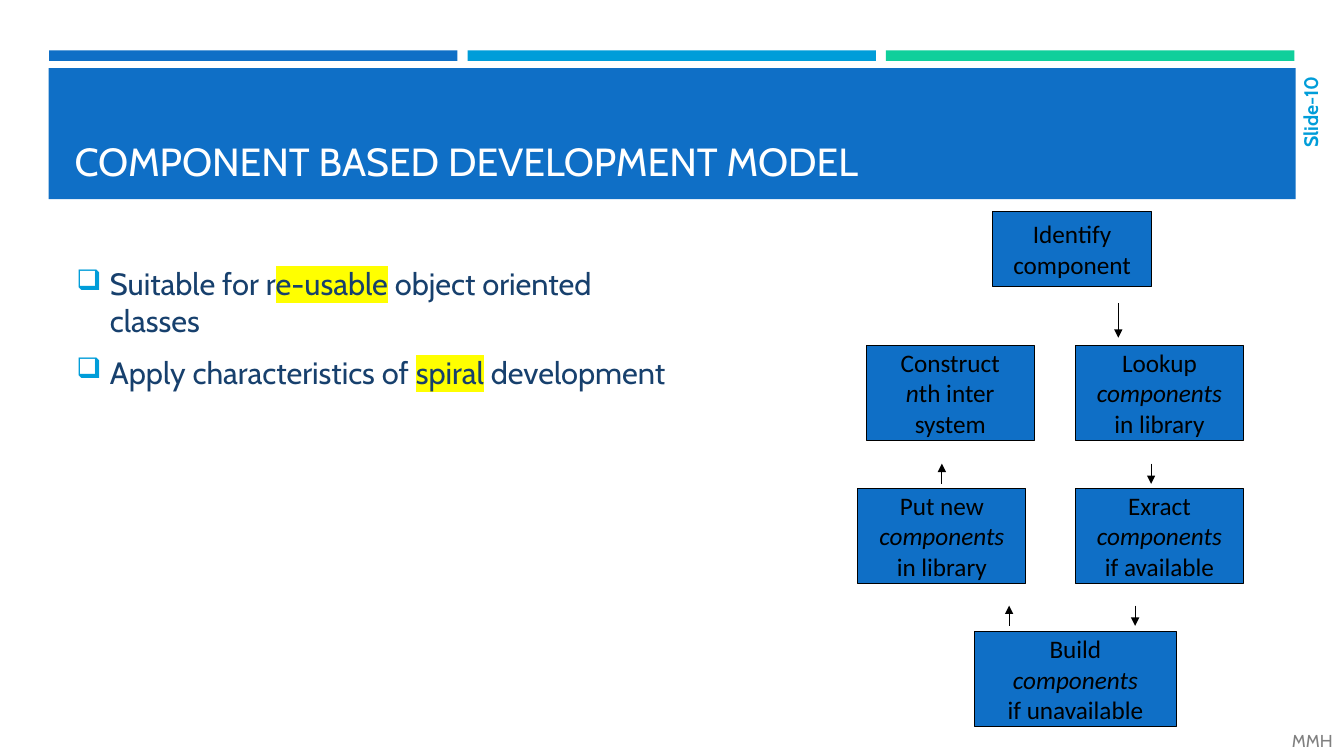
from lxml.etree import SubElement
from pptx import Presentation
from pptx.dml.color import RGBColor
from pptx.enum.shapes import MSO_CONNECTOR, MSO_SHAPE
from pptx.enum.text import MSO_ANCHOR, PP_ALIGN
from pptx.oxml.ns import qn
from pptx.util import Inches, Pt

# Page and grid: 160 columns by 90 rows
deck = Presentation()
deck.slide_width, deck.slide_height = Inches(13.33), Inches(7.5)
page = deck.slides.add_slide(deck.slide_layouts[6])
CELL = deck.slide_height / 90

BLUE, SKY, GREEN, NAVY = "0F6FC6", "009DD9", "10CF9B", "17406D"
BLACK, WHITE, GREY, YELLOW = "000000", "FFFFFF", "808080", "FFFF00"


def add_box(left, top, width, height, fill=None, line=None):
    """Add a rectangle placed in grid cells, or a text box when it has no fill."""
    place = [round(length * CELL) for length in (left, top, width, height)]
    if fill is None:
        box = page.shapes.add_textbox(*place)
    else:
        box = page.shapes.add_shape(MSO_SHAPE.RECTANGLE, *place)
        box.shadow.inherit = False
        box.fill.solid()
        box.fill.fore_color.rgb = RGBColor.from_string(fill)
        if line:
            box.line.color.rgb = RGBColor.from_string(line)
            box.line.width = Pt(0.75)
        else:
            box.line.fill.background()
    box.text_frame.word_wrap = line is None
    return box


def write(box, lines, size, name, color, anchor=MSO_ANCHOR.MIDDLE,
          align=PP_ALIGN.LEFT, bold=False, highlight=None):
    """Write one paragraph per line; text between asterisks is highlighted or italic."""
    frame = box.text_frame
    frame.vertical_anchor = anchor
    for index, line in enumerate(lines):
        para = frame.paragraphs[0] if index == 0 else frame.add_paragraph()
        para.alignment = align
        for part, words in enumerate(line.split("*")):
            if not words:
                continue
            marked = part % 2 == 1
            span = para.add_run()
            span.text = words
            span.font.color.rgb = RGBColor.from_string(color)
            if marked and highlight:
                mark = SubElement(span.font._element, qn("a:highlight"))
                SubElement(mark, qn("a:srgbClr"), val=highlight)
            settings = {"size": Pt(size), "name": name, "bold": bold,
                        "italic": marked and not highlight}
            for key, value in settings.items():
                setattr(span.font, key, value)


# Header bars and title band
for index, color in enumerate((BLUE, SKY, GREEN)):
    add_box(5.85 + 49.8 * index, 6, 48.6, 1.25, color)
add_box(5.8, 8.1, 148.4, 15.6, BLUE)
title = add_box(7.7, 9.2, 144.7, 13.3)
write(title, ["COMPONENT BASED DEVELOPMENT MODEL"], 28, "Cabin", WHITE, MSO_ANCHOR.BOTTOM)

# Bullet list
body = add_box(7.9, 30.4, 75, 17.2)
write(body, ["Suitable for r*e-usable* object oriented classes",
             "Apply characteristics of *spiral* development"],
      22, "Cabin", NAVY, highlight=YELLOW)
for index, para in enumerate(body.text_frame.paragraphs):
    para.space_before = Pt(4.4 if index else 0)
    para.space_after = Pt(6)
    properties = para._p.get_or_add_pPr()
    properties.set("marL", str(round(4 * CELL)))
    properties.set("indent", str(round(-4 * CELL)))
    SubElement(SubElement(properties, qn("a:buClr")), qn("a:srgbClr"), val=SKY)
    SubElement(properties, qn("a:buSzPct"), val="92000")
    SubElement(properties, qn("a:buChar"), char="❑")

# Slide number, turned upwards, and author initials
number = add_box(154.4, 7.9, 3.1, 13.2)
write(number, ["Slide-10"], 14, "Cabin", SKY, align=PP_ALIGN.RIGHT, bold=True)
number.text_frame._txBody.bodyPr.set("vert", "vert270")
initials = add_box(151.6, 86.4, 8.4, 3.6)
initials.text_frame.margin_left, initials.text_frame.margin_right = Inches(0.18), 0
write(initials, ["MMH"], 12.3, "Cabin", GREY)

# Process steps: left, row, width, height, lines
FIRST_ROW, ROW_STEP, STEP_HEIGHT = 41.1, 17.05, 11.3
rows = [FIRST_ROW + ROW_STEP * index for index in range(3)]
steps = [
    (118.1, 25.2, 19, 8.9, ["Identify", "component"]),
    (103.1, rows[0], 20, STEP_HEIGHT, ["Construct", "*n*th inter", "system"]),
    (128, rows[0], 20, STEP_HEIGHT, ["Lookup", "*components*", "in library"]),
    (102.1, rows[1], 20, STEP_HEIGHT, ["Put new", "*components*", "in library"]),
    (128, rows[1], 20, STEP_HEIGHT, ["Exract", "*components*", "if available"]),
    (116, rows[2], 24, STEP_HEIGHT, ["Build", "*components*", "if unavailable"]),
]
for left, top, width, height, lines in steps:
    step = add_box(left, top, width, height, BLUE, BLACK)
    write(step, lines, 18, "Calibri", BLACK, align=PP_ALIGN.CENTER)

# Arrows in the gaps between steps: column, start row, end row
arrows = [(133.1, 36.1, 40.2), (137, 55.2, 57.6), (135.1, 72.1, 74.5),
          (120.1, 74.5, 72.1), (112.1, 57.6, 55.2)]
for column, start, end in arrows:
    ends = [round(length * CELL) for length in (column, start, column, end)]
    arrow = page.shapes.add_connector(MSO_CONNECTOR.STRAIGHT, *ends)
    arrow.line.color.rgb = RGBColor.from_string(BLACK)
    arrow.line.width = Pt(0.75)
    SubElement(arrow.line._get_or_add_ln(), qn("a:tailEnd"), type="triangle")
    SubElement(arrow._element.spPr, qn("a:effectLst"))

deck.save("out.pptx")
